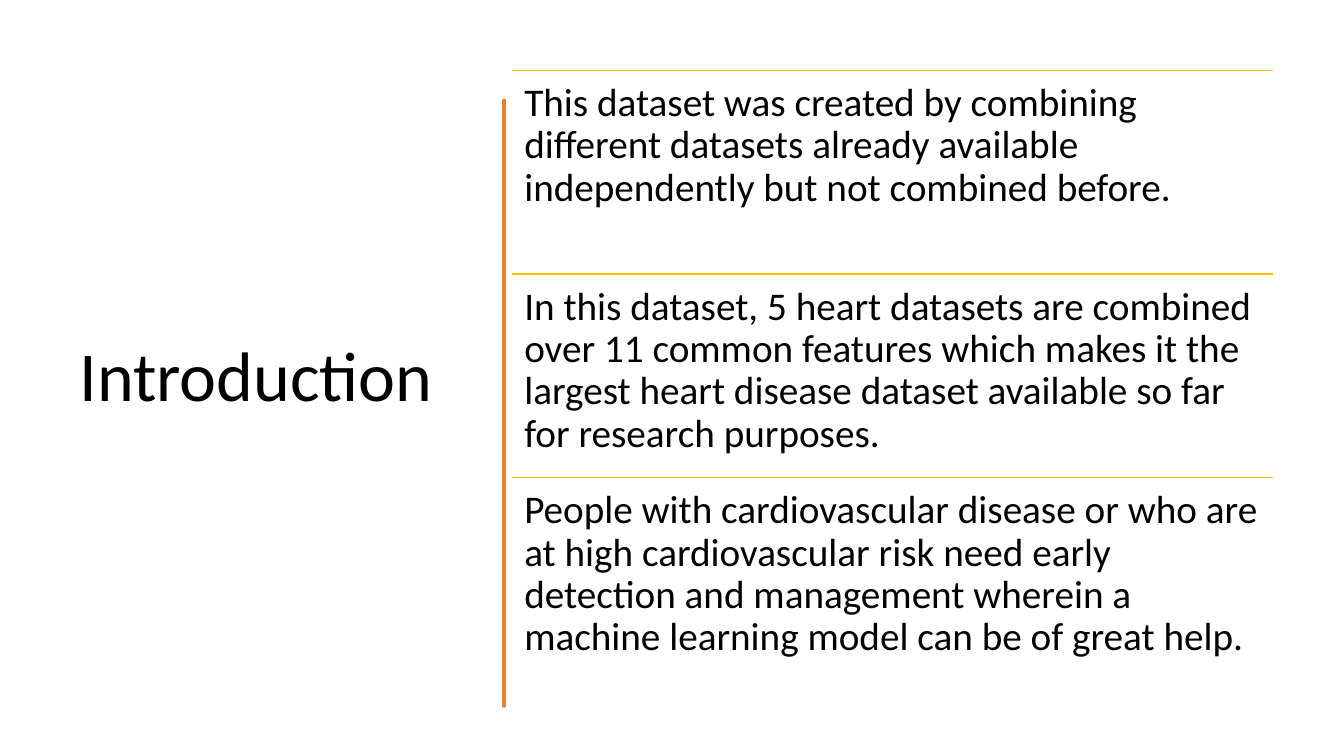
"""Build the Introduction slide: title, brush-like divider and three ruled statements."""
from pptx import Presentation, util as u
from pptx.dml.color import RGBColor
from pptx.enum import shapes, text
from pptx.oxml.ns import qn

TITLE = "Introduction"
STATEMENTS = [
    "This dataset was created by combining different datasets already available "
    "independently but not combined before.",
    "In this dataset, 5 heart datasets are combined over 11 common features which makes it "
    "the largest heart disease dataset available so far for research purposes.",
    "People with cardiovascular disease or who are at high cardiovascular risk need early "
    "detection and management wherein a machine learning model can be of great help.",
]
RIGHT_EDGE = [(4.75, 0.84), (4.76, 1.15), (4.75, 1.46), (4.74, 1.86), (4.75, 2.26),
              (4.75, 2.94), (4.76, 3.25), (4.75, 3.56), (4.76, 3.96), (4.75, 4.36),
              (4.73, 4.73), (4.75, 5.1), (4.77, 5.47), (4.75, 5.84), (4.75, 6.76)]
LEFT_EDGE = [(4.73, 6.76), (4.72, 6.44), (4.73, 6.13), (4.73, 5.57), (4.73, 4.77),
             (4.72, 4.46), (4.73, 4.15), (4.72, 3.75), (4.73, 3.35), (4.72, 2.93),
             (4.73, 2.5), (4.74, 2.15), (4.73, 1.81), (4.74, 1.33), (4.73, 0.84)]
THEME = {
    "font": "Calibri", "title": 50, "body": 28, "brush_pt": 3.25, "rule_pt": 1,
    "ink": RGBColor(0x00, 0x00, 0x00),
    "brush": RGBColor(0xED, 0x7D, 0x31),
    "rule": RGBColor(0xFF, 0xC0, 0x00),
}
LEFT, TOP, WIDTH, ROW = 5.08, 0.7, 7.55, 2.02


def add_text(s, words, box, size, inset, anchor):
    tf = s.shapes.add_textbox(*map(u.Inches, box)).text_frame
    tf.word_wrap = True
    tf.vertical_anchor = anchor
    tf.margin_left = tf.margin_right = u.Inches(inset[0])
    tf.margin_top = tf.margin_bottom = u.Inches(inset[1])
    p = tf.paragraphs[0]
    p.text = words
    p.line_spacing = 0.9
    r = p.runs[0]
    r.font.name = THEME["font"]
    r.font.size = u.Pt(size)
    r.font.color.rgb = THEME["ink"]


def add_brush(s):
    start, *rest = RIGHT_EDGE + LEFT_EDGE
    builder = s.shapes.build_freeform(*start, scale=u.Inches(1))
    builder.add_line_segments(rest, close=True)
    sp = builder.convert_to_shape()
    sp.shadow.inherit = False
    sp.fill.solid()
    sp.fill.fore_color.rgb = THEME["brush"]
    sp.line.color.rgb = THEME["brush"]
    sp.line.width = u.Pt(THEME["brush_pt"])
    line = sp.line._get_or_add_ln()
    line.append(line.makeelement(qn("a:round"), {}))


def add_rule(s, y):
    ends = map(u.Inches, (LEFT, y, LEFT + WIDTH, y))
    sp = s.shapes.add_connector(shapes.MSO_CONNECTOR.STRAIGHT, *ends)
    sp.line.color.rgb = THEME["rule"]
    sp.line.width = u.Pt(THEME["rule_pt"])
    props = sp._element.spPr
    props.append(props.makeelement(qn("a:effectLst"), {}))


prs = Presentation()
prs.slide_width, prs.slide_height = u.Inches(13.33), u.Inches(7.5)
s = prs.slides.add_slide(prs.slide_layouts[6])
add_text(s, TITLE, (0.69, TOP, 3.74, 6.11), THEME["title"], (0.1, 0.05),
         text.MSO_ANCHOR.MIDDLE)
add_brush(s)
for i, words in enumerate(STATEMENTS):
    y = TOP + i * ROW
    add_rule(s, y)
    add_text(s, words, (LEFT, y, WIDTH, ROW), THEME["body"], (0.12, 0.12),
             text.MSO_ANCHOR.TOP)
prs.save("out.pptx")
